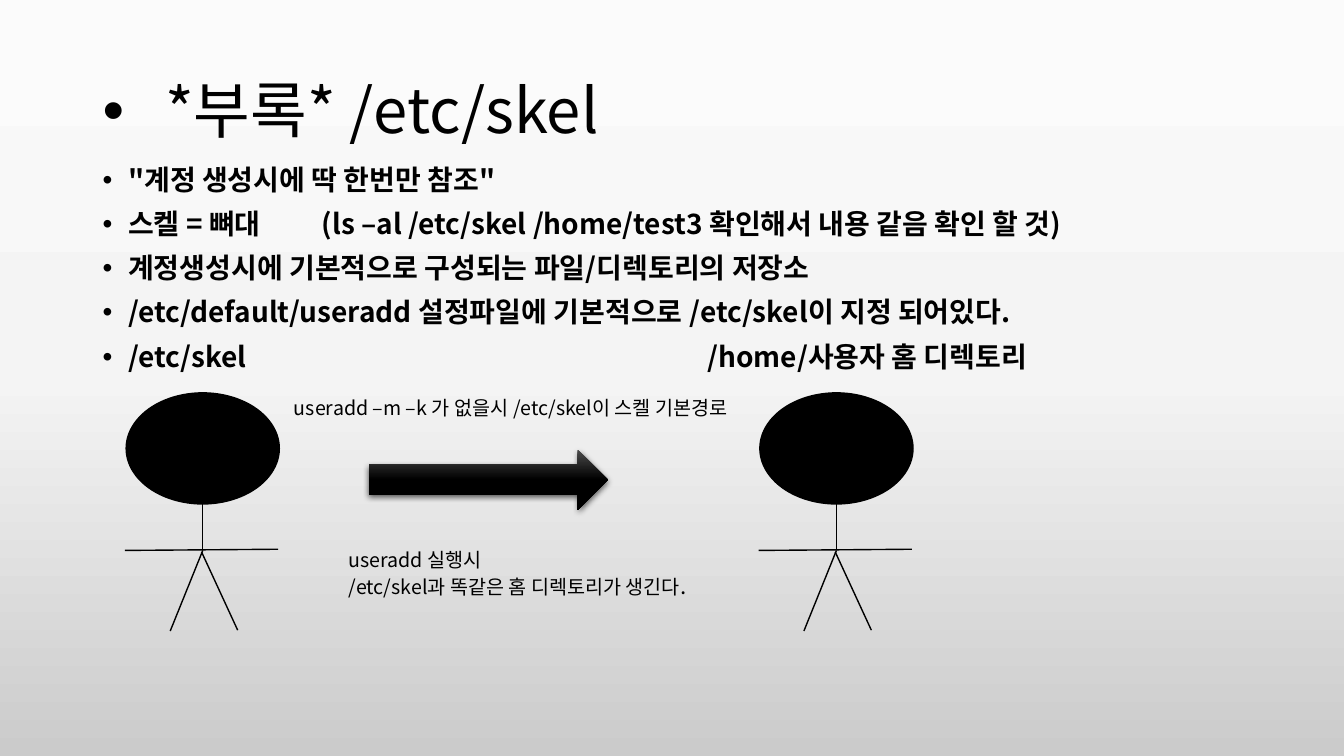
from pptx import Presentation
from pptx.dml.color import RGBColor
from pptx.enum.shapes import MSO_CONNECTOR, MSO_SHAPE
from pptx.enum.text import MSO_ANCHOR, MSO_AUTO_SIZE
from pptx.oxml.ns import qn
from pptx.util import Cm, Pt
from lxml.etree import SubElement


def rgb(value):
    return RGBColor.from_string(value)


def add(parent, tag, **attrs):
    return SubElement(parent, qn(tag), {k: str(v) for k, v in attrs.items()})


class Deck:
    """Hold the style and the current slide, with a method per kind of element."""

    font = "Noto Sans CJK KR"
    ink = "000000"

    def __init__(self, prs):
        self.s = prs.slides.add_slide(prs.slide_layouts[6])

    def gradient(self, fill, root, stops):
        fill.gradient()
        fill.gradient_angle = 270
        lst = next(root.iter(qn("a:gsLst")))
        lst.clear()
        for pos, color in stops:
            add(add(lst, "a:gs", pos=pos * 1000), "a:srgbClr", val=color)

    def background(self, stops):
        self.gradient(self.s.background.fill, self.s.element, stops)

    def style(self, r, size, bold=False):
        r.font.size, r.font.bold, r.font.name = Pt(size), bold, self.font
        r.font.color.rgb = rgb(self.ink)
        add(r.font._element, "a:ea", typeface=self.font)

    def text(self, box, lines, size, bold=False, grow=False):
        tf = self.s.shapes.add_textbox(*map(Cm, box)).text_frame
        tf.word_wrap = True
        if grow:
            tf.auto_size = MSO_AUTO_SIZE.SHAPE_TO_FIT_TEXT
        for i, line in enumerate(lines):
            p = tf.paragraphs[0] if i == 0 else tf.add_paragraph()
            p.text = line
            for r in p.runs:
                self.style(r, size, bold)
        return tf

    def bullets(self, tf, indent, before=0, tabs=()):
        for p in tf.paragraphs:
            p.line_spacing, p.space_before = 0.9, Pt(before)
            pPr = p._p.get_or_add_pPr()
            pPr.set("marL", str(Cm(indent)))
            pPr.set("indent", str(-Cm(indent)))
            add(pPr, "a:buFont", typeface="Arial")
            add(pPr, "a:buChar", char="•")
            if "\t" in p.text:
                lst = add(pPr, "a:tabLst")
                for tab in tabs:
                    add(lst, "a:tab", pos=Cm(tab), algn="l")

    def line(self, shapes, x1, y1, x2, y2):
        c = shapes.add_connector(MSO_CONNECTOR.STRAIGHT, Cm(x1), Cm(y1), Cm(x2), Cm(y2))
        c.line.color.rgb, c.line.width = rgb(self.ink), Pt(1)
        add(c._element.spPr, "a:effectLst")

    def person(self, x):
        shapes = self.s.shapes.add_group_shape().shapes
        head = shapes.add_shape(MSO_SHAPE.OVAL, Cm(x), Cm(9.9), Cm(3.86), Cm(2.8))
        head.shadow.inherit = False
        head.fill.solid()
        head.fill.fore_color.rgb = head.line.color.rgb = rgb(self.ink)
        head.line.width = Pt(1)
        mid, hip = x + 1.93, 13.87
        self.line(shapes, x - 0.03, hip, x + 3.83, 13.84)
        self.line(shapes, mid, 12.7, mid, hip)
        self.line(shapes, mid, hip, mid - 0.82, 15.9)
        self.line(shapes, mid - 0.03, hip + 0.04, mid + 0.88, 15.88)

    def arrow(self, box, stops):
        sp = self.s.shapes.add_shape(MSO_SHAPE.RIGHT_ARROW, *map(Cm, box))
        self.gradient(sp.fill, sp._element, stops)
        sp.line.fill.background()
        sp.shadow.inherit = False
        effects = sp._element.spPr.find(qn("a:effectLst"))
        shadow = add(effects, "a:outerShdw", blurRad=Pt(4.5), dist=Pt(1.5), dir=5400000)
        add(add(shadow, "a:srgbClr", val=self.ink), "a:alpha", val=63000)


prs = Presentation()
prs.slide_width, prs.slide_height = Cm(33.87), Cm(19.05)
deck = Deck(prs)
deck.background([(0, "FBFBFB"), (50, "F4F4F4"), (100, "CBCBCB")])

title = deck.text((2.34, 1.02, 29.21, 3.68), ["*부록* /etc/skel"], 44)
title.vertical_anchor = MSO_ANCHOR.MIDDLE
deck.bullets(title, 1.57)

body = deck.text((2.34, 4.06, 29.21, 10.46), [
    "\"계정 생성시에 딱 한번만 참조\"",
    "스켈 = 뼈대\t(ls –al /etc/skel /home/test3 확인해서 내용 같음 확인 할 것)",
    "계정생성시에 기본적으로 구성되는 파일/디렉토리의 저장소",
    "/etc/default/useradd 설정파일에 기본적으로 /etc/skel이 지정 되어있다.",
    "/etc/skel\t/home/사용자 홈 디렉토리",
], 20, bold=True)
deck.bullets(body, 0.64, before=10)
for i, tab in ((1, 5.52), (4, 15.24)):
    tabs = add(body.paragraphs[i]._p.pPr.find(qn("a:tabLst")), "a:tab", pos=Cm(tab), algn="l")

deck.person(3.18)
deck.arrow((9.3, 11.33, 6.02, 1.52), [(0, "4B4B4B"), (50, "000000"), (100, "000000")])
result = deck.text((8.53, 13.69, 11.96, 1.55),
                   ["useradd 실행시\n/etc/skel과 똑같은 홈 디렉토리가 생긴다"], 14, grow=True)
r = result.paragraphs[0].add_run()
r.text = "."
deck.style(r, 16)
deck.person(19.15)
deck.text((7.16, 9.86, 12.45, 0.86),
          ["useradd –m –k 가 없을시 /etc/skel이 스켈 기본경로"], 14, grow=True)

prs.save("out.pptx")
